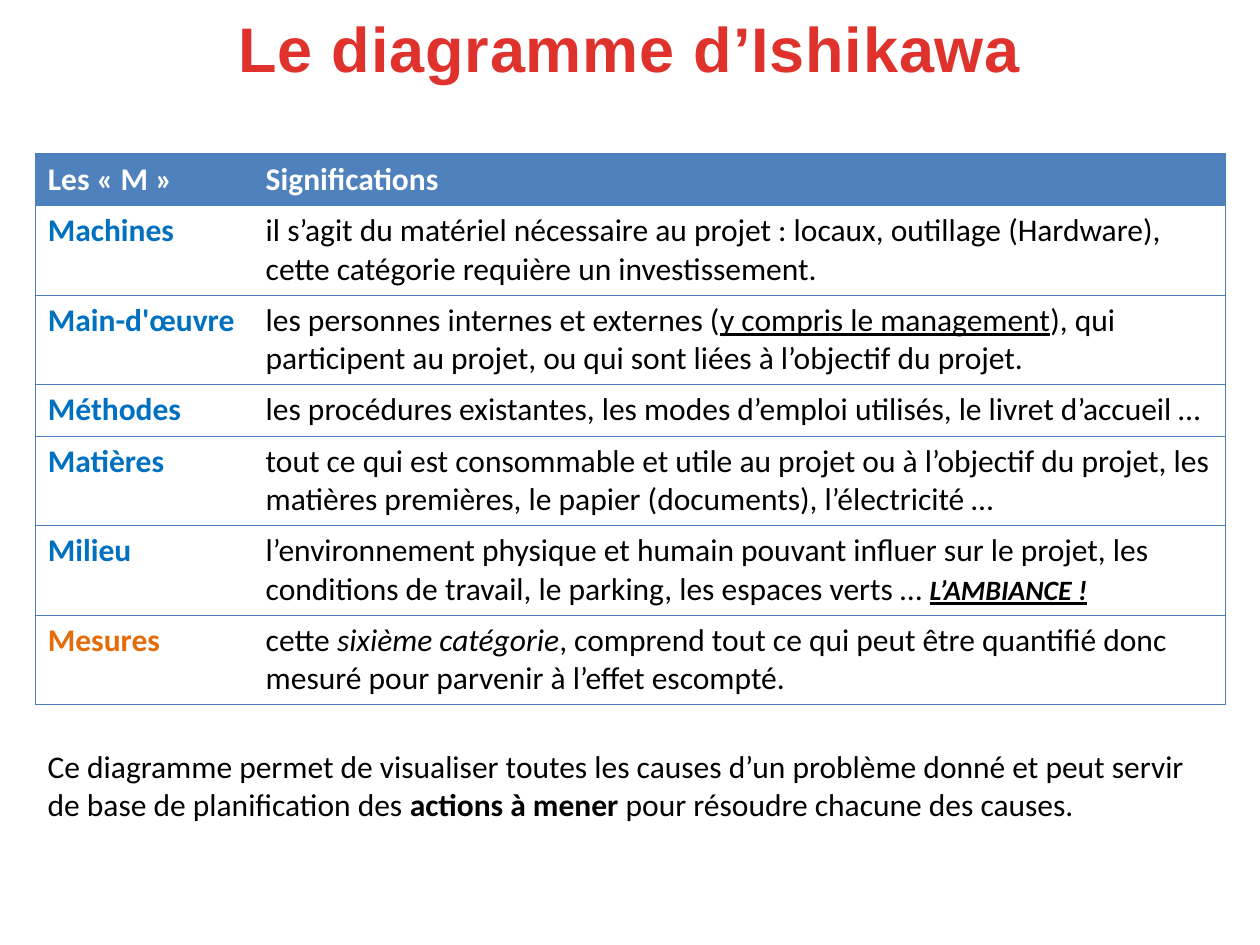
"""Build the slide that explains the Ishikawa diagram and its six categories."""
from dataclasses import dataclass

from lxml.etree import SubElement
from pptx import Presentation
from pptx.dml.color import RGBColor
from pptx.enum.text import MSO_ANCHOR, PP_ALIGN
from pptx.oxml.ns import qn
from pptx.util import Inches, Pt

RED = RGBColor(0xE0, 0x32, 0x2D)
BLUE = RGBColor(0x00, 0x70, 0xC0)
ORANGE = RGBColor(0xE4, 0x6C, 0x0A)
HEADER_BLUE = RGBColor(0x4F, 0x81, 0xBD)
BORDER_BLUE = RGBColor(0x4B, 0x7E, 0xBC)
WHITE = RGBColor(0xFF, 0xFF, 0xFF)
BLACK = RGBColor(0x00, 0x00, 0x00)

WIDTH, HEIGHT = Inches(10), Inches(7.5)
MARGIN = 0.028
CONTENT_WIDTH = 0.945
COLUMN_SHARES = (0.183, 0.817)
ROW_HEIGHTS = {1: Inches(0.41), 2: Inches(0.71)}


@dataclass(frozen=True)
class Span:
    text: str
    bold: bool = False
    italic: bool = False
    underline: bool = False
    size: float = 18


@dataclass(frozen=True)
class Category:
    name: str
    meaning: tuple[Span, ...]
    lines: int = 2
    name_color: RGBColor = BLUE
    meaning_color: RGBColor = BLACK
    fill: RGBColor | None = None


CATEGORIES = (
    Category("Les « M »", (Span("Significations", bold=True),), 1, WHITE, WHITE, HEADER_BLUE),
    Category("Machines", (
        Span("il s’agit du matériel nécessaire au projet : locaux, outillage (Hardware), "
             "cette catégorie requière un investissement."),)),
    Category("Main-d'œuvre", (
        Span("les personnes internes et externes ("),
        Span("y compris le management", underline=True),
        Span("), qui participent au projet, ou qui sont liées à l’objectif du projet."))),
    Category("Méthodes", (
        Span("les procédures existantes, les modes d’emploi utilisés, le livret d’accueil …"),), 1),
    Category("Matières", (
        Span("tout ce qui est consommable et utile au projet ou à l’objectif du projet, "
             "les matières premières, le papier (documents), l’électricité …"),)),
    Category("Milieu", (
        Span("l’environnement physique et humain pouvant influer sur le projet, les conditions "
             "de travail, le parking, les espaces verts … "),
        Span("L’AMBIANCE !", bold=True, italic=True, underline=True, size=16))),
    Category("Mesures", (
        Span("cette "),
        Span("sixième catégorie", italic=True),
        Span(", comprend tout ce qui peut être quantifié donc mesuré pour parvenir "
             "à l’effet escompté.")), name_color=ORANGE),
)

CONCLUSION = (
    Span("Ce diagramme permet de visualiser toutes les causes d’un problème donné "
         "et peut servir de base de planification des "),
    Span("actions à mener", bold=True),
    Span(" pour résoudre chacune des causes."),
)


def write_text(frame, spans: tuple[Span, ...], *, color: RGBColor = BLACK,
               font: str = "Calibri", align: PP_ALIGN = PP_ALIGN.LEFT,
               spacing: float = 0) -> None:
    """Write formatted spans into the first paragraph of a text frame."""
    frame.word_wrap = True
    paragraph = frame.paragraphs[0]
    paragraph.alignment = align
    for span in spans:
        run = paragraph.add_run()
        run.text = span.text
        run.font.name, run.font.size = font, Pt(span.size)
        run.font.bold, run.font.italic = span.bold, span.italic
        run.font.underline = span.underline
        run.font.color.rgb = color
        if spacing:
            run.font._element.set("spc", str(round(spacing * 100)))


def add_text(slide, top: float, height: float, spans: tuple[Span, ...], *,
             left: float = MARGIN, width: float = CONTENT_WIDTH,
             anchor: MSO_ANCHOR = MSO_ANCHOR.TOP, **text_format) -> None:
    """Add a text box placed by shares of the slide's size."""
    shape = slide.shapes.add_textbox(round(left * WIDTH), round(top * HEIGHT),
                                     round(width * WIDTH), round(height * HEIGHT))
    shape.text_frame.vertical_anchor = anchor
    write_text(shape.text_frame, spans, **text_format)


def set_borders(cell, visible: str) -> None:
    """Draw the named sides of a cell and hide the others."""
    properties = cell._tc.get_or_add_tcPr()
    for side in "LRTB":
        line = SubElement(properties, qn(f"a:ln{side}"), w=str(Pt(0.75)))
        if side in visible:
            fill = SubElement(line, qn("a:solidFill"))
            SubElement(fill, qn("a:srgbClr"), val=str(BORDER_BLUE))
        else:
            SubElement(line, qn("a:noFill"))


def add_categories(slide, top: float, categories: tuple[Category, ...]) -> None:
    """Add the table of categories, one row each."""
    heights = [ROW_HEIGHTS[category.lines] for category in categories]
    table_width = round(CONTENT_WIDTH * WIDTH)
    table = slide.shapes.add_table(len(categories), len(COLUMN_SHARES), round(MARGIN * WIDTH),
                                   round(top * HEIGHT), table_width, sum(heights)).table
    table.first_row = table.horz_banding = False
    for column, share in zip(table.columns, COLUMN_SHARES):
        column.width = round(share * table_width)
    for row, height, category in zip(table.rows, heights, categories):
        row.height = height
        contents = (
            ((Span(category.name, bold=True),), category.name_color, "LTB"),
            (category.meaning, category.meaning_color, "RTB"),
        )
        for cell, (spans, color, sides) in zip(row.cells, contents):
            set_borders(cell, sides)
            if category.fill is None:
                cell.fill.background()
            else:
                cell.fill.solid()
                cell.fill.fore_color.rgb = category.fill
            write_text(cell.text_frame, spans, color=color)


def main() -> None:
    """Create and save the presentation."""
    presentation = Presentation()
    presentation.slide_width, presentation.slide_height = WIDTH, HEIGHT
    slide = presentation.slides.add_slide(presentation.slide_layouts[6])
    add_text(slide, 0, 0.1, (Span("Le diagramme d’Ishikawa", bold=True, size=36),),
             left=0, width=1, anchor=MSO_ANCHOR.MIDDLE, color=RED, font="Arial",
             align=PP_ALIGN.CENTER, spacing=0.5)
    add_categories(slide, 0.163, CATEGORIES)
    add_text(slide, 0.784, 0.094, CONCLUSION)
    presentation.save("out.pptx")


if __name__ == "__main__":
    main()
